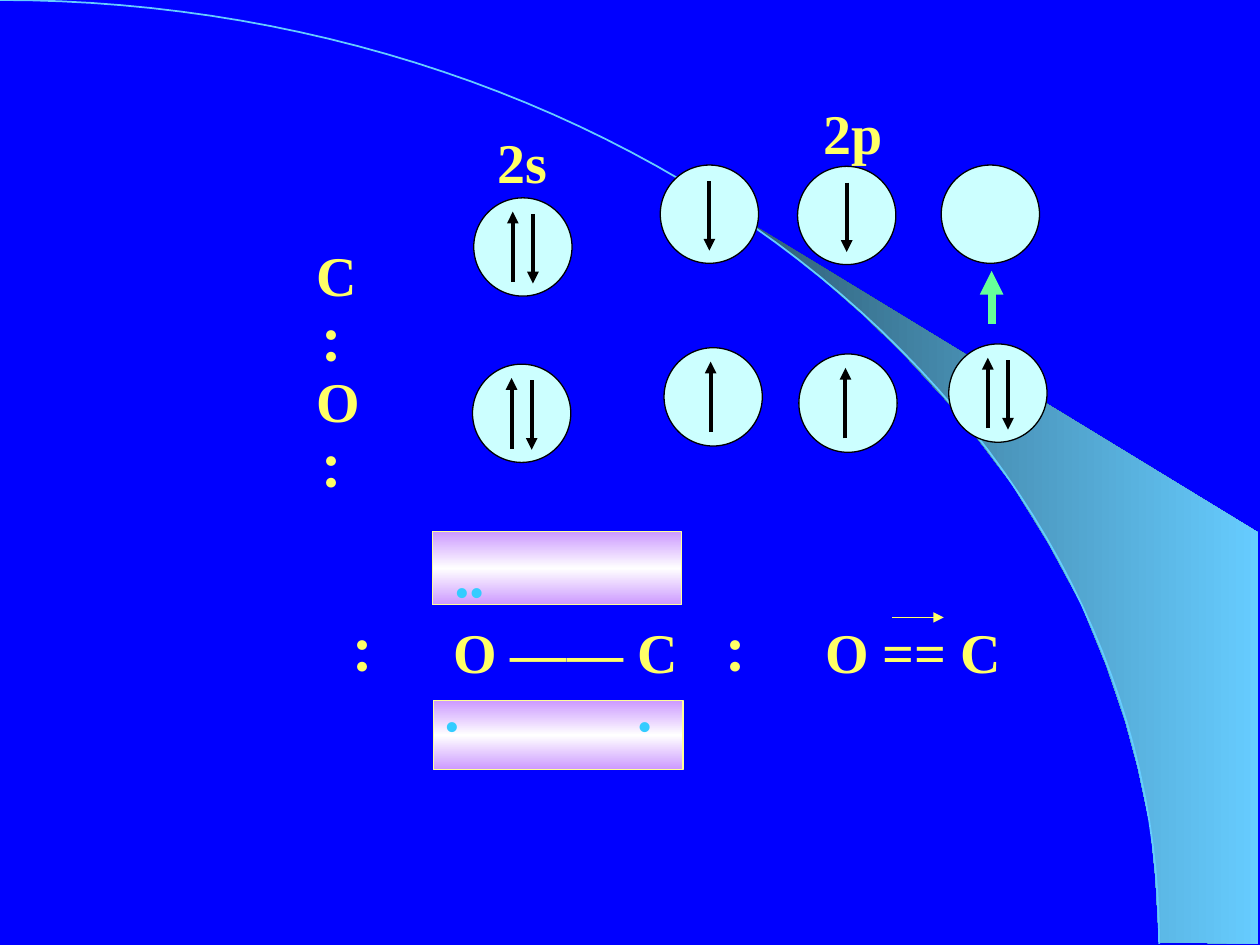
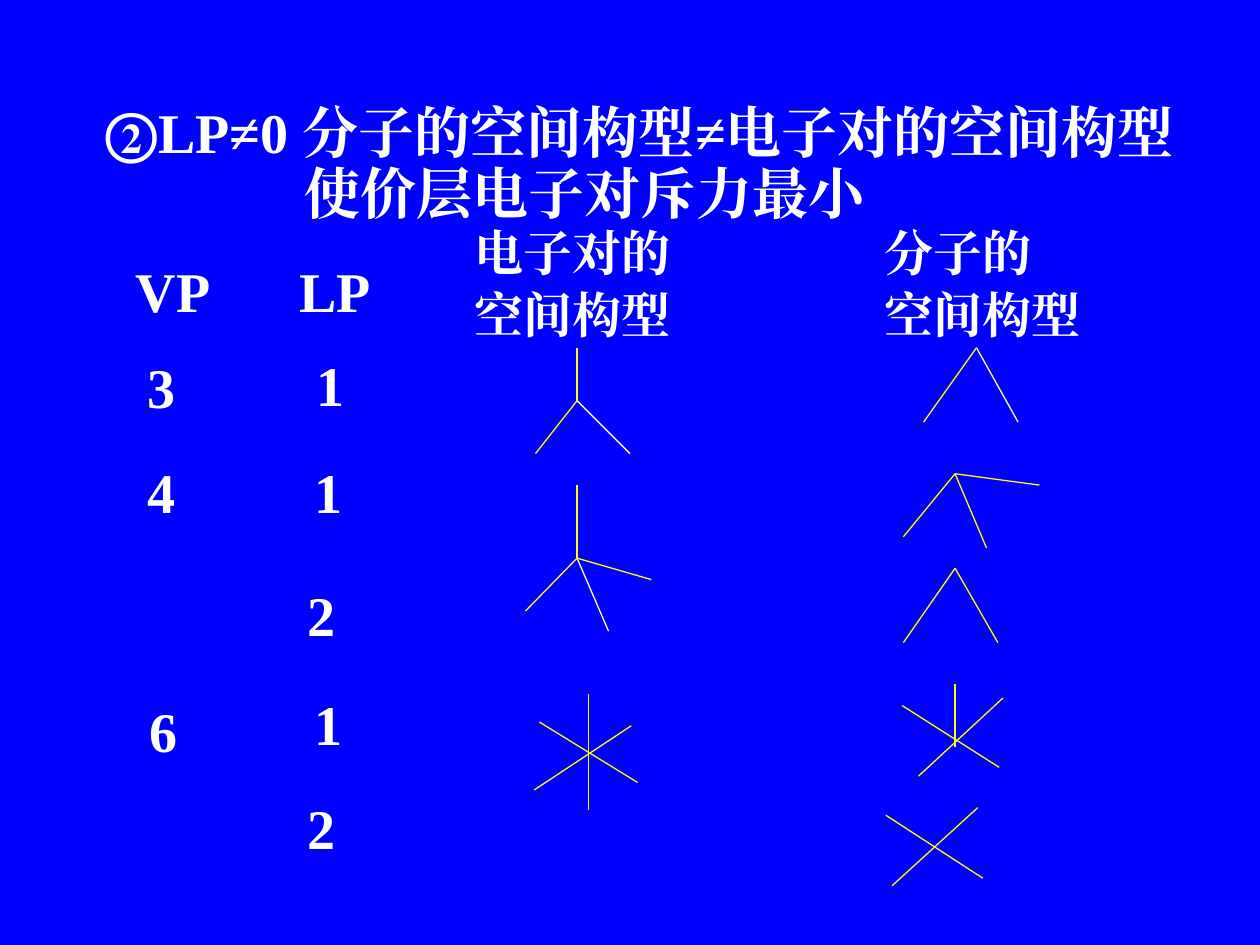
"""Build two slides on electron pairs: carbon monoxide bonding and molecular shapes."""
from copy import deepcopy
from math import cos, pi, sin

from lxml.etree import SubElement
from pptx import Presentation
from pptx.dml.color import RGBColor
from pptx.enum.shapes import MSO_CONNECTOR as Link, MSO_SHAPE as Preset
from pptx.enum.text import MSO_ANCHOR as Anchor, MSO_AUTO_SIZE as AutoSize, PP_ALIGN as Align
from pptx.oxml.ns import qn
from pptx.util import Cm, Pt

COLORS = {
    "blue": "0000FF", "sky": "66CCFF", "deep": "2F5E76", "ice": "CCFFFF",
    "black": "000000", "white": "FFFFFF", "lemon": "FFFF66", "pale": "FFFF99",
    "yellow": "FFFF00", "lilac": "CC99FF", "cyan": "33CCFF", "green": "66FF99",
}
FONT = "Times New Roman"
TITLE_ONLY, BLANK = 5, 6
TEXT_DROP = 0.05
ORBITAL_SIZE = 0.78
SPINS = {
    "pair": [(0.31, 0.67, 0.11), (0.47, 0.13, 0.68)],
    "up": [(0.37, 0.67, 0.11)],
    "down": [(0.39, 0.13, 0.68)],
    "empty": [],
}


def length(inches):
    return Cm(inches * 2.54)


def color(name):
    return RGBColor.from_string(COLORS[name])


class Deck:
    def __init__(self):
        self.deck = Presentation()
        self.deck.slide_width, self.deck.slide_height = length(10), length(7.5)
        self.page = None

    def new_page(self, layout):
        self.page = self.deck.slides.add_slide(self.deck.slide_layouts[layout])
        self.page.background.fill.solid()
        self.page.background.fill.fore_color.rgb = color("blue")

    def fill_text(self, box, text, ink, size, bold, wrap, tabs):
        frame = box.text_frame
        frame.text = text
        frame.word_wrap = wrap
        frame.auto_size = AutoSize.NONE
        frame.vertical_anchor = Anchor.TOP
        for index, para in enumerate(frame.paragraphs):
            para.alignment = Align.LEFT
            if index:
                para.space_before = Pt(1.5)
            if tabs:
                stops = SubElement(para._p.get_or_add_pPr(), qn("a:tabLst"))
                for stop in tabs:
                    SubElement(stops, qn("a:tab"), pos=str(length(stop)), algn="l")
            for span in para.runs:
                span.font.name = FONT
                span.font.size = Pt(size)
                span.font.bold = bold
                span.font.color.rgb = color(ink)
                SubElement(span.font._element, qn("a:ea"), typeface=FONT)

    def text(self, left, top, width, text, ink="lemon", size=32, height=0.64,
             bold=True, wrap=True, tabs=()):
        box = self.page.shapes.add_textbox(
            length(left), length(top + TEXT_DROP), length(width), length(height))
        self.fill_text(box, text, ink, size, bold, wrap, tabs)

    def title(self, left, top, width, text):
        box = self.page.shapes.title
        box.left, box.top = length(left), length(top + TEXT_DROP)
        box.width, box.height = length(width), length(0.64)
        self.fill_text(box, text, "white", 32, True, False, ())

    def outline(self, shape, name, weight):
        shape.line.color.rgb = color(name)
        shape.line.width = Pt(weight)

    def gradient(self, shape, names, angle):
        shape.fill.gradient()
        shape.fill.gradient_angle = angle
        stops = shape._element.spPr.find(".//" + qn("a:gsLst"))
        for _ in names[2:]:
            stops.append(deepcopy(stops[0]))
        for index, (stop, name) in enumerate(zip(shape.fill.gradient_stops, names)):
            stop.color.rgb = color(name)
            stop.position = index / (len(names) - 1)

    def shape(self, preset, left, top, width, height):
        shape = self.page.shapes.add_shape(
            preset, length(left), length(top), length(width), length(height))
        shape.shadow.inherit = False
        return shape

    def freeform(self, points, close):
        scaled = [(length(x), length(y)) for x, y in points]
        builder = self.page.shapes.build_freeform(*scaled[0])
        builder.add_line_segments(scaled[1:], close=close)
        shape = builder.convert_to_shape()
        shape.shadow.inherit = False
        return shape

    def line(self, start, end, name, weight=0.75, arrow=False):
        line = self.page.shapes.add_connector(
            Link.STRAIGHT, *(length(value) for value in (*start, *end)))
        self.outline(line, name, weight)
        if arrow:
            SubElement(line.line._get_or_add_ln(), qn("a:tailEnd"), type="triangle")
        SubElement(line._element.spPr, qn("a:effectLst"))

    def orbital(self, left, top, spin):
        circle = self.shape(Preset.OVAL, left, top, ORBITAL_SIZE, ORBITAL_SIZE)
        circle.fill.solid()
        circle.fill.fore_color.rgb = color("ice")
        self.outline(circle, "black", 0.75)
        for across, tail, head in SPINS[spin]:
            self.line((left + across, top + tail), (left + across, top + head),
                      "black", 2.25, arrow=True)

    def pi_band(self, left, top, height):
        band = self.shape(Preset.RECTANGLE, left, top, 1.98, height)
        self.gradient(band, ("lilac", "white", "lilac"), 90)
        self.outline(band, "pale", 0.75)

    def bonds(self, hub, *ends, pale_last=False):
        for end in ends:
            pale = pale_last and end is ends[-1]
            self.line(hub, end, "pale" if pale else "yellow")

    def swoosh(self):
        wedge = self.freeform([
            (9.2, 7.48), (9.99, 7.49), (9.99, 4.23), (5.89, 1.73), (6.24, 1.99),
            (6.53, 2.22), (6.85, 2.5), (7.16, 2.8), (7.62, 3.3), (8.03, 3.84),
            (8.32, 4.31), (8.58, 4.79), (8.78, 5.28), (8.93, 5.72), (9.03, 6.09),
            (9.13, 6.56), (9.17, 6.96)], True)
        self.gradient(wedge, ("deep", "sky"), 0)
        wedge.line.fill.background()
        steps = 60
        angles = [pi / 2 * step / steps for step in range(steps + 1)]
        arc = self.freeform([(9.2 * sin(a), 7.49 * (1 - cos(a))) for a in angles], False)
        arc.fill.background()
        self.outline(arc, "sky", 1)


def carbon_monoxide(deck):
    deck.new_page(BLANK)
    deck.swoosh()
    for left, top, spin in [
        (3.76, 1.57, "pair"), (5.24, 1.31, "down"), (6.33, 1.32, "down"),
        (7.47, 1.31, "empty"), (3.75, 2.89, "pair"), (5.27, 2.76, "up"),
        (6.34, 2.81, "up"), (7.53, 2.73, "pair"),
    ]:
        deck.orbital(left, top, spin)
    deck.line((7.87, 2.57), (7.87, 2.15), "green", 4.5, arrow=True)
    deck.text(3.85, 0.91, 1.01, "2s")
    deck.text(6.44, 0.68, 1.01, "2p")
    for top, atom in [(1.81, "C"), (2.81, "O")]:
        deck.text(2.41, top, 1.01, atom + "\v：")
    deck.text(2.46, 4.8, 4.85, "\t：\tO —— C\t：", tabs=(0.2, 1.04, 3.16))
    deck.pi_band(3.43, 4.22, 0.58)
    deck.pi_band(3.44, 5.56, 0.55)
    dots = dict(ink="cyan", size=24, height=0.5, bold=False)
    deck.text(3.51, 4.39, 0.5, "••", **dots)
    deck.text(3.43, 5.45, 1.9, "•\t•", tabs=(1.53,), **dots)
    deck.text(6.45, 4.8, 2.45, "O == C")
    deck.line((7.08, 4.9), (7.49, 4.9), "lemon", arrow=True)


def molecular_shapes(deck):
    deck.new_page(TITLE_ONLY)
    deck.title(0.74, 0.67, 8.99, "②LP≠0 分子的空间构型≠电子对的空间构型")
    label = dict(ink="white", wrap=False)
    deck.text(2.32, 1.16, 4.65, "使价层电子对斥力最小", **label)
    deck.text(0.98, 1.94, 0.79, "VP", **label)
    deck.text(2.28, 1.94, 0.77, "LP", **label)
    for left, head in [(3.67, "电子对的"), (6.92, "分子的")]:
        deck.text(left, 1.67, 1.75, head + "\n空间构型", size=28, height=1.04, **label)
    for left, top, count in [
        (1.07, 2.7, "3"), (1.07, 3.53, "4"), (1.09, 5.43, "6"), (2.41, 2.68, "1"),
        (2.4, 3.53, "1"), (2.34, 4.51, "2"), (2.4, 5.37, "1"), (2.34, 6.2, "2"),
    ]:
        deck.text(left, top, 0.42, count, **label)
    deck.bonds((4.58, 3.18), (4.58, 2.76), (4.25, 3.6), (5, 3.6), pale_last=True)
    deck.bonds((7.75, 2.76), (7.33, 3.35), (8.08, 3.35), pale_last=True)
    deck.bonds((4.58, 4.43), (4.58, 3.85), (4.17, 4.85), (5.17, 4.6), (4.83, 5.01),
               pale_last=True)
    deck.bonds((7.58, 4.51), (7.17, 5.1), (7.92, 5.1))
    deck.bonds((7.58, 3.76), (8.25, 3.85), (7.17, 4.26), (7.83, 4.35))
    for start, end in [
        ((4.67, 5.51), (4.67, 6.43)), ((4.28, 5.73), (5.06, 6.21)),
        ((5.01, 5.76), (4.24, 6.27)), ((7.76, 6.41), (7.08, 7.03)),
        ((7.03, 6.47), (7.8, 6.97)), ((7.96, 5.54), (7.29, 6.16)),
        ((7.16, 5.6), (7.93, 6.09)), ((7.58, 5.43), (7.58, 5.93)),
    ]:
        deck.bonds(start, end)


def main():
    deck = Deck()
    carbon_monoxide(deck)
    molecular_shapes(deck)
    deck.deck.save("out.pptx")


if __name__ == "__main__":
    main()
